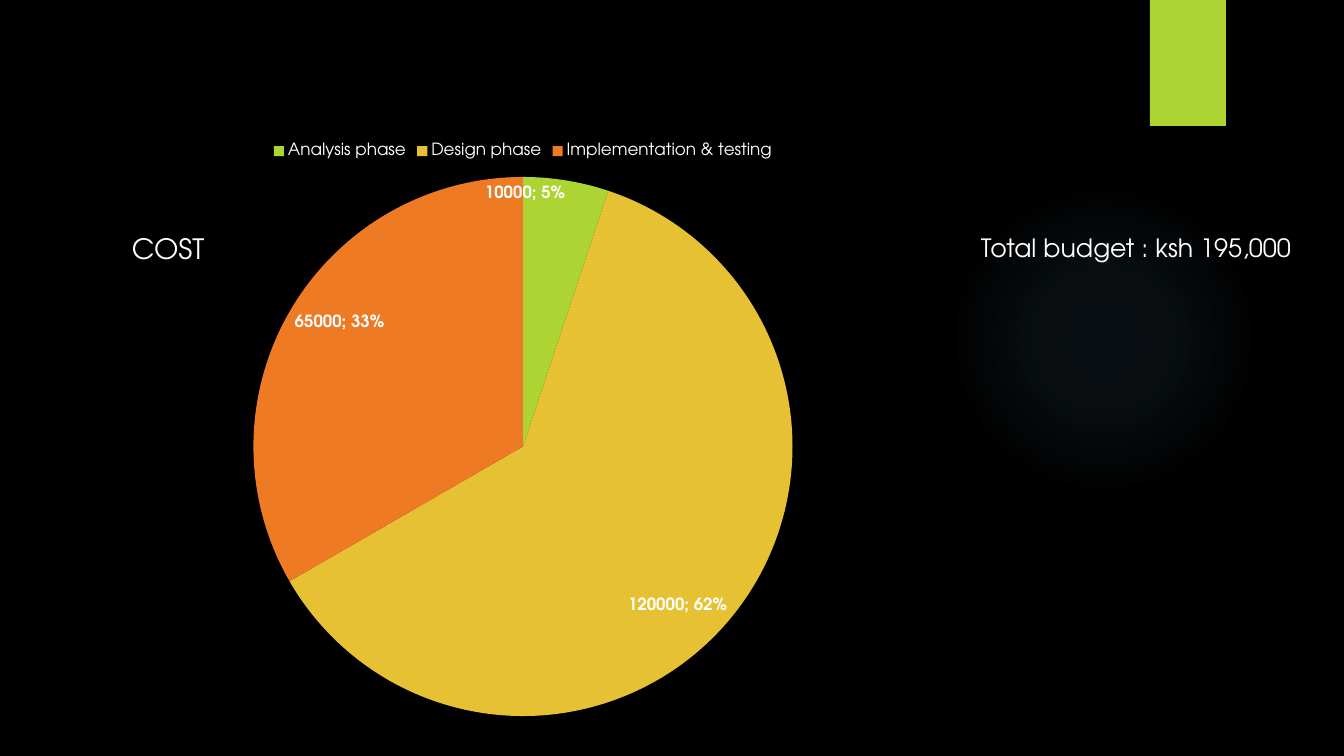
from lxml.etree import SubElement
from pptx import Presentation
from pptx.chart.data import CategoryChartData
from pptx.dml.color import RGBColor
from pptx.enum.chart import XL_CHART_TYPE, XL_LABEL_POSITION, XL_LEGEND_POSITION
from pptx.enum.shapes import MSO_SHAPE
from pptx.oxml import parse_xml
from pptx.oxml.ns import nsdecls, qn
from pptx.util import Pt

PX = 914400 / 100.8
FONT = "TeX Gyre Adventor"
BLACK = RGBColor(0x00, 0x00, 0x00)
WHITE = RGBColor(0xFF, 0xFF, 0xFF)
GREEN = RGBColor(0xAC, 0xD4, 0x33)
YELLOW = RGBColor(0xE6, 0xC1, 0x33)
ORANGE = RGBColor(0xEF, 0x7A, 0x24)
GLOW_BLUE = RGBColor(0x7A, 0xC4, 0xF0)
GLOW_STOPS = [(0, 7), (36, 6), (69, 0)]
PHASES = [
    ("Analysis phase", 10000, GREEN),
    ("Design phase", 120000, YELLOW),
    ("Implementation & testing", 65000, ORANGE),
]


def px(*lengths):
    """Turn pixel lengths into EMU."""
    return [round(length * PX) for length in lengths]


def apply_format(target, values):
    """Set each named value as an attribute of the target."""
    for name, value in values.items():
        setattr(target, name, value)


def style_font(font, size, bold=False):
    """Give a font the slide's typeface in white."""
    apply_format(font, {"name": FONT, "size": Pt(size), "bold": bold})
    font.color.rgb = WHITE


def add_plain_shape(slide, kind, box, color):
    """Add a filled shape with neither outline nor shadow."""
    shape = slide.shapes.add_shape(kind, *px(*box))
    shape.shadow.inherit = False
    shape.line.fill.background()
    shape.fill.solid()
    shape.fill.fore_color.rgb = color
    return shape


def add_glow(slide, box):
    """Add a circle whose faint colour fades out from its centre."""
    glow = add_plain_shape(slide, MSO_SHAPE.OVAL, box, GLOW_BLUE)
    stops = "".join(
        f'<a:gs pos="{place * 1000}"><a:srgbClr val="{GLOW_BLUE}">'
        f'<a:alpha val="{opacity * 1000}"/></a:srgbClr></a:gs>'
        for place, opacity in GLOW_STOPS
    )
    gradient = parse_xml(
        f'<a:gradFill {nsdecls("a")} rotWithShape="1"><a:gsLst>{stops}</a:gsLst>'
        '<a:path path="circle"><a:fillToRect l="50000" t="50000" r="50000" b="50000"/>'
        "</a:path></a:gradFill>"
    )
    properties = glow._element.spPr
    properties.replace(properties.find(qn("a:solidFill")), gradient)


def add_text(slide, box, text, size, wrap, space_before=0):
    """Add one paragraph of white text."""
    frame = slide.shapes.add_textbox(*px(*box)).text_frame
    frame.word_wrap = wrap
    paragraph = frame.paragraphs[0]
    paragraph.space_before = Pt(space_before)
    run = paragraph.add_run()
    run.text = text
    style_font(run.font, size)


def add_cost_pie(slide, box):
    """Add the pie of cost by project phase."""
    data = CategoryChartData()
    data.categories = [phase for phase, _, _ in PHASES]
    data.add_series("Series 1", [cost for _, cost, _ in PHASES])
    chart = slide.shapes.add_chart(XL_CHART_TYPE.PIE, *px(*box), data).chart
    apply_format(chart, {"has_title": False, "has_legend": True})
    style_font(chart.font, 10)
    apply_format(chart.legend, {"position": XL_LEGEND_POSITION.TOP, "include_in_layout": False})
    style_font(chart.legend.font, 12)

    pie = chart.plots[0]
    pie.vary_by_categories = True
    costs = pie.series[0]
    for index, (_, _, color) in enumerate(PHASES):
        slice_fill = costs.points[index].format.fill
        slice_fill.solid()
        slice_fill.fore_color.rgb = color

    labels = costs.data_labels
    apply_format(labels, {
        "show_value": True,
        "show_percentage": True,
        "position": XL_LABEL_POSITION.INSIDE_END,
    })
    style_font(labels.font, 12, bold=True)
    label_xml = labels._element
    separator = SubElement(label_xml, qn("c:separator"))
    separator.text = "; "
    label_xml.find(qn("c:showBubbleSize")).addnext(separator)


def main():
    """Build and save the cost slide."""
    deck = Presentation()
    width, height = px(1344, 756)
    apply_format(deck, {"slide_width": width, "slide_height": height})
    slide = deck.slides.add_slide(deck.slide_layouts[6])
    slide.background.fill.solid()
    slide.background.fill.fore_color.rgb = BLACK

    add_glow(slide, (949, 184, 310, 310))
    add_plain_shape(slide, MSO_SHAPE.RECTANGLE, (1150, 0, 76, 126), GREEN)
    add_text(slide, (122, 227, 986, 463), "COST", 20, True, space_before=10)
    add_cost_pie(slide, (75, 132, 896, 598))
    add_text(slide, (971, 227, 337, 40), "Total budget : ksh 195,000", 18, False)
    deck.save("out.pptx")


if __name__ == "__main__":
    main()
